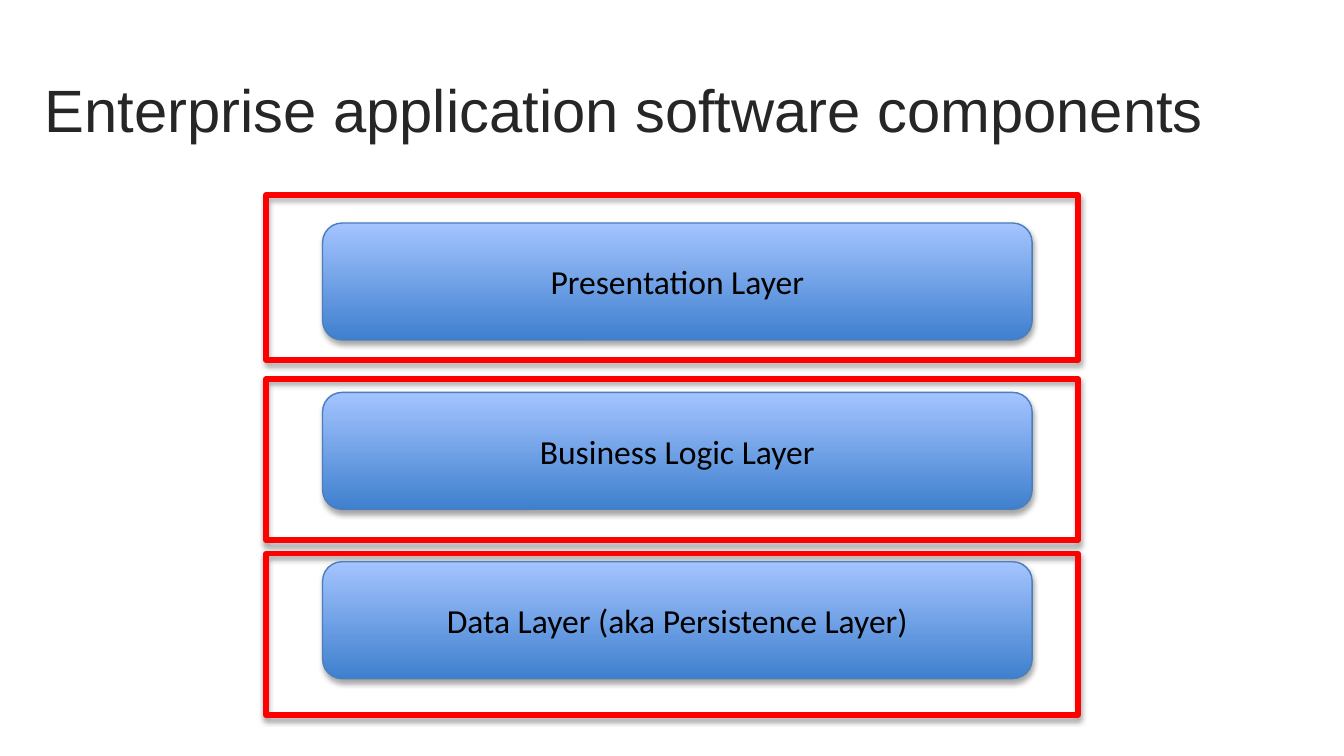
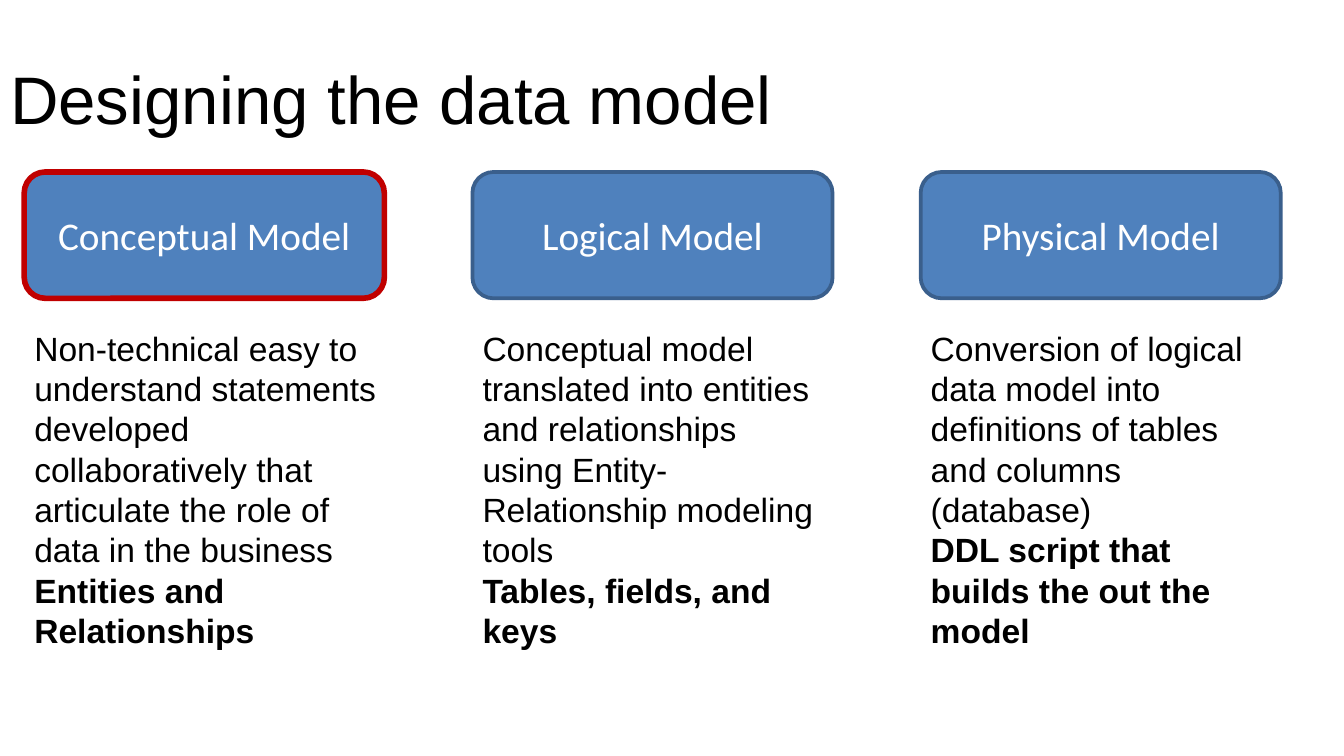
from lxml import etree
from pptx import Presentation
from pptx import util as u
from pptx.dml.color import RGBColor
from pptx.enum import shapes, text
from pptx.oxml.ns import qn

CELL = 0.1
COLS, ROWS = 100, 56.25
BLACK, WHITE, RED = "000000", "FFFFFF", "FF0000"
ROUND = shapes.MSO_SHAPE.ROUNDED_RECTANGLE
RECT = shapes.MSO_SHAPE.RECTANGLE
TOP, MID = text.MSO_ANCHOR.TOP, text.MSO_ANCHOR.MIDDLE

FRAMES = [(0, 12.3), (13.7, 12), (26.7, 12)]
LAYERS = ["Presentation Layer", "Business Logic Layer",
          "Data Layer (aka Persistence Layer)"]
MODELS = [
    ("Conceptual Model", "C00000", 3, 27.8,
     "Non-technical easy to understand statements developed collaboratively "
     "that articulate the role of data in the business",
     "Entities and Relationships"),
    ("Logical Model", "3A5F8C", 2, 26.8,
     "Conceptual model translated into entities and relationships using "
     "Entity-Relationship modeling tools",
     "Tables, fields, and keys"),
    ("Physical Model", "3A5F8C", 2, 26.8,
     "Conversion of logical data model into definitions of tables and columns "
     "(database)",
     "DDL script that builds the out the model"),
]


def rgb(code):
    return RGBColor.from_string(code)


def span(*cells):
    return [u.Inches(n * CELL) for n in cells]


def write(shape, lines, size, face, color, anchor=TOP, align=None, left=0.75):
    frame = shape.text_frame
    frame.word_wrap = True
    frame.vertical_anchor = anchor
    frame.margin_left, frame.margin_right = span(left, 0.75)
    frame.margin_top, frame.margin_bottom = span(0.38, 0.38)
    for i, (words, bold) in enumerate(lines):
        para = frame.paragraphs[0] if i == 0 else frame.add_paragraph()
        para.text = words
        para.alignment = align
        font = para.font
        font.name, font.size, font.bold = face, u.Pt(size), bold
        font.color.rgb = rgb(color)


def label(slide, box, lines, size, color=BLACK, **rest):
    shape = slide.shapes.add_textbox(*span(*box))
    write(shape, lines, size, "Arial", color, **rest)


def block(slide, kind, box, edge, width):
    shape = slide.shapes.add_shape(kind, *span(*box))
    shape.shadow.inherit = False
    shape.line.color.rgb = rgb(edge)
    shape.line.width = u.Pt(width)
    return shape


def caption(shape, words, size, color):
    write(shape, [(words, False)], size, "Calibri", color, MID,
          text.PP_ALIGN.CENTER)


def shade(shape):
    effects = shape._element.spPr.find(qn("a:effectLst"))
    outer = etree.SubElement(
        effects, qn("a:outerShdw"), blurRad=str(u.Pt(3.1)),
        dist=str(u.Pt(1.8)), dir="5400000", rotWithShape="0")
    tone = etree.SubElement(outer, qn("a:srgbClr"), val=BLACK)
    etree.SubElement(tone, qn("a:alpha"), val="35000")


def blend(shape, *codes):
    shape.fill.gradient()
    shape.fill.gradient_angle = 90
    for stop, code in zip(shape.fill.gradient_stops, codes):
        stop.color.rgb = rgb(code)


def stack(slide, box):
    x, y, wide = box
    for i, ((drop, tall), name) in enumerate(zip(FRAMES, LAYERS)):
        frame = block(slide, RECT, (x, y + drop, wide, tall), RED, 3)
        frame.fill.background()
        shade(frame)
        layer = block(slide, ROUND,
                      (x + 4.2, y + 2.1 + 12.6 * i, wide - 7.6, 8.7),
                      "4B7EBC", 0.75)
        blend(layer, "3F80CE", "A4C4FF")
        shade(layer)
        caption(layer, name, 18, BLACK)


def column(slide, box, model):
    x, y, wide, tall = box
    name, edge, width, room, about, result = model
    head = block(slide, ROUND, (x, y, wide, 9.4), edge, width)
    head.fill.solid()
    head.fill.fore_color.rgb = rgb("4F81BD")
    caption(head, name, 21, WHITE)
    label(slide, (x, y + 11.2, room, tall - 11.2),
          [(about, False), (result, True)], 18)


def layers(slide):
    label(slide, (0.1, 4.7, COLS, 6.8),
          [("Enterprise application software components", False)],
          32, "262626", anchor=MID, left=3.22)
    stack(slide, (19.8, 14.5, 60.4))


def models(slide):
    label(slide, (0, 3.9, 75.7, 7.1), [("Designing the data model", False)], 36)
    for i, model in enumerate(MODELS):
        column(slide, (1.8 + 33.35 * i, 12.8, 26.8, 36.4), model)


def main():
    deck = Presentation()
    deck.slide_width, deck.slide_height = span(COLS, ROWS)
    for build in (layers, models):
        build(deck.slides.add_slide(deck.slide_layouts[6]))
    deck.save("out.pptx")


if __name__ == "__main__":
    main()
